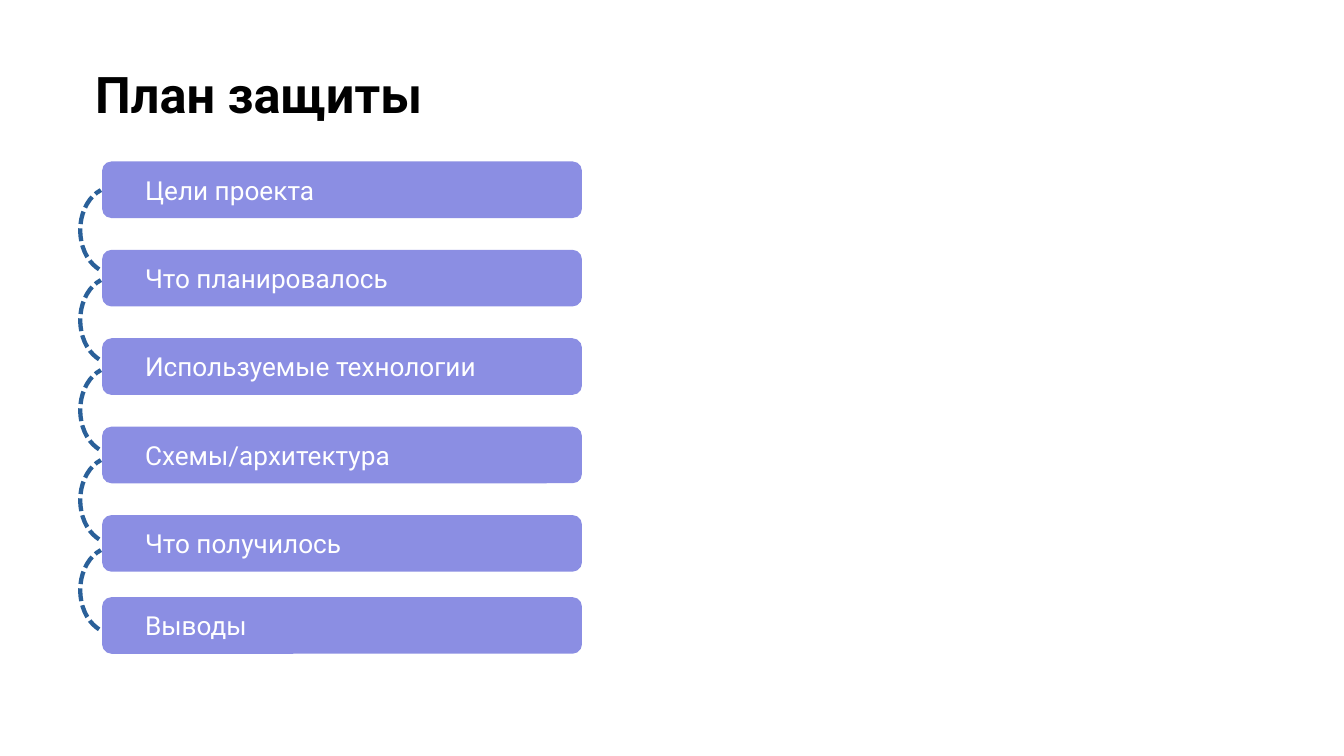
from pptx import Presentation
from pptx.dml.color import RGBColor
from pptx.enum.dml import MSO_LINE
from pptx.enum.shapes import MSO_SHAPE
from pptx.enum.text import MSO_ANCHOR, MSO_AUTO_SIZE, PP_ALIGN
from pptx.util import Cm, Pt

COLORS = {"title": "000000", "bar": "8B8EE3", "bar_text": "FFFFFF", "arc": "2A6099"}

TOPICS = [
    "Цели проекта",
    "Что планировалось",
    "Используемые технологии",
    "Схемы/архитектура",
    "Что получилось",
    "Выводы",
]

# Vertical rhythm in cm; the closing topic sits slightly nearer its neighbour
BAR_TOP, BAR_STEP, LAST_BAR_TOP = 3.05, 1.67, 11.28
ARC_TOP, ARC_STEP = 3.73, 1.7


def rgb(name):
    return RGBColor.from_string(COLORS[name])


def write_text(shape, text, size, color, anchor, inset, bold=False):
    tf = shape.text_frame
    frame_format = {
        "word_wrap": True,
        "auto_size": MSO_AUTO_SIZE.NONE,
        "vertical_anchor": anchor,
        "margin_left": Cm(inset),
        "margin_right": Cm(inset),
        "margin_top": Cm(0.25),
        "margin_bottom": Cm(0.25),
    }
    for name, value in frame_format.items():
        setattr(tf, name, value)
    p = tf.paragraphs[0]
    p.alignment = PP_ALIGN.LEFT
    r = p.add_run()
    r.text = text
    for name, value in {"name": "Roboto", "size": Pt(size), "bold": bold}.items():
        setattr(r.font, name, value)
    r.font.color.rgb = rgb(color)


def set_title(s, text):
    title = s.shapes.title
    box = {"left": 1.55, "top": 0.94, "width": 18.11, "height": 1.6}
    for name, value in box.items():
        setattr(title, name, Cm(value))
    write_text(title, text, 27, "title", MSO_ANCHOR.TOP, 0.25, bold=True)


def add_topic_bar(s, text, top):
    sp = s.shapes.add_shape(
        MSO_SHAPE.ROUNDED_RECTANGLE, Cm(1.93), Cm(top), Cm(9.07), Cm(1.07))
    sp.shadow.inherit = False
    sp.fill.solid()
    sp.fill.fore_color.rgb = rgb("bar")
    sp.line.fill.background()
    write_text(sp, text, 14, "bar_text", MSO_ANCHOR.MIDDLE, 0.76)


def add_link_arc(s, top):
    sp = s.shapes.add_shape(MSO_SHAPE.ARC, Cm(1.32), Cm(top), Cm(1.63), Cm(1.24))
    sp.shadow.inherit = False
    sp.rotation = 90
    sp.adjustments[0], sp.adjustments[1] = 11.7, 97.93
    sp.fill.background()
    sp.line.color.rgb = rgb("arc")
    sp.line.width = Pt(2.3)
    sp.line.dash_style = MSO_LINE.SQUARE_DOT


def main():
    prs = Presentation()
    prs.slide_width, prs.slide_height = Cm(25.4), Cm(14.28)
    s = prs.slides.add_slide(prs.slide_layouts[5])
    set_title(s, "План защиты")

    # Topic bars
    for i, topic in enumerate(TOPICS[:-1]):
        add_topic_bar(s, topic, BAR_TOP + i * BAR_STEP)
    add_topic_bar(s, TOPICS[-1], LAST_BAR_TOP)

    # Dashed arcs linking neighbouring bars
    for i in range(len(TOPICS) - 1):
        add_link_arc(s, ARC_TOP + i * ARC_STEP)

    prs.save("out.pptx")


if __name__ == "__main__":
    main()
